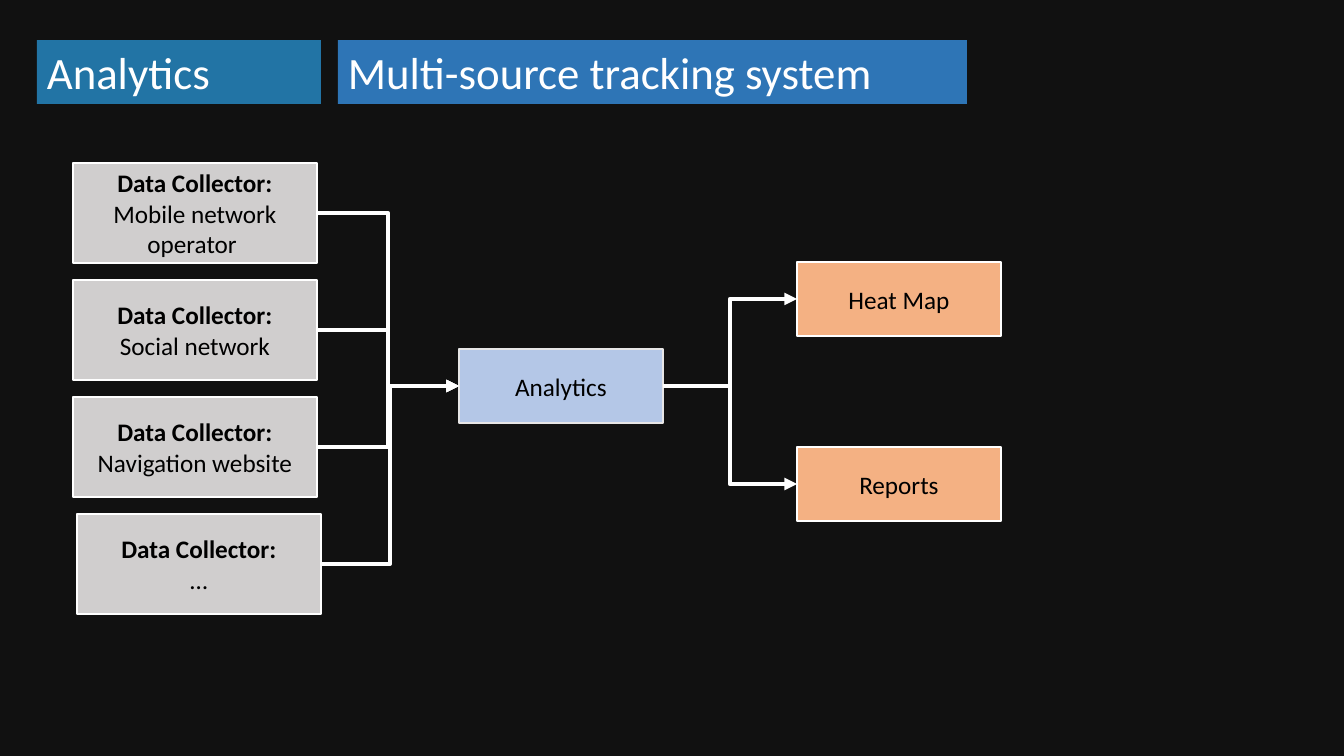
from pptx import Presentation
from pptx.dml.color import RGBColor
from pptx.enum.shapes import MSO_CONNECTOR as Link, MSO_SHAPE as Form
from pptx.enum.text import MSO_ANCHOR as Anchor, PP_ALIGN as Align
from pptx.util import Pt
from lxml.etree import SubElement
from pptx.oxml.ns import qn

PX = 9525 * 20 / 21  # 1344 px across 13.33 inches
LEFT, RIGHT = 1, 3  # connection sites of a rectangle

rgb = RGBColor.from_string


def add_box(text, spot, fill, edge=None, size=18, ink="000000"):
    """Add a filled rectangle; an edged one has its text centred."""
    box = slide.shapes.add_shape(Form.RECTANGLE, *[round(v * PX) for v in spot])
    box.shadow.inherit = False
    box.fill.solid()
    box.fill.fore_color.rgb = rgb(fill)
    if edge:
        box.line.color.rgb = rgb(edge)
        box.line.width = Pt(1)
    else:
        box.line.fill.background()
    frame = box.text_frame
    frame.word_wrap = True
    frame.vertical_anchor = Anchor.MIDDLE if edge else Anchor.TOP
    frame.text = text
    for para in frame.paragraphs:
        para.alignment = Align.CENTER if edge else Align.LEFT
        for run in para.runs:
            run.font.name = "Calibri"
            run.font.size = Pt(size)
            run.font.color.rgb = rgb(ink)
    return box


def add_arrow(start, end):
    arrow = slide.shapes.add_connector(Link.ELBOW, 0, 0, 0, 0)
    arrow.begin_connect(start, RIGHT)
    arrow.end_connect(end, LEFT)
    arrow.line.color.rgb = rgb("FFFFFF")
    arrow.line.width = Pt(3)
    SubElement(arrow.line._get_or_add_ln(), qn("a:tailEnd"), type="triangle")
    SubElement(arrow._element.spPr, qn("a:effectLst"))


deck = Presentation()
deck.slide_width = round(1344 * PX)
deck.slide_height = round(756 * PX)
slide = deck.slides.add_slide(deck.slide_layouts[6])
slide.background.fill.solid()
slide.background.fill.fore_color.rgb = rgb("111111")

# Heading
add_box("Analytics", (37, 40, 284, 64), "2274A5", size=32, ink="FFFFFF")
add_box("Multi-source tracking system", (338, 40, 629, 64), "2E75B6",
        size=32, ink="FFFFFF")

# Flow: collectors, analytics, results
core = add_box("Analytics", (459, 349, 204, 74), "B4C7E7", "E7E6E6")

sources = [("Mobile network operator ", 73), ("Social network", 73),
           ("Navigation website", 73), ("…", 77)]
for row, (name, left) in enumerate(sources):
    box = add_box("Data Collector:\n" + name, (left, 163 + 117 * row, 244, 100),
                  "D0CECE", "FFFFFF")
    box.text_frame.paragraphs[0].runs[0].font.bold = True
    add_arrow(box, core)

for name, top in [("Heat Map", 262), ("Reports", 447)]:
    box = add_box(name, (797, top, 204, 74), "F4B183", "FFFFFF")
    add_arrow(core, box)

deck.save("out.pptx")
